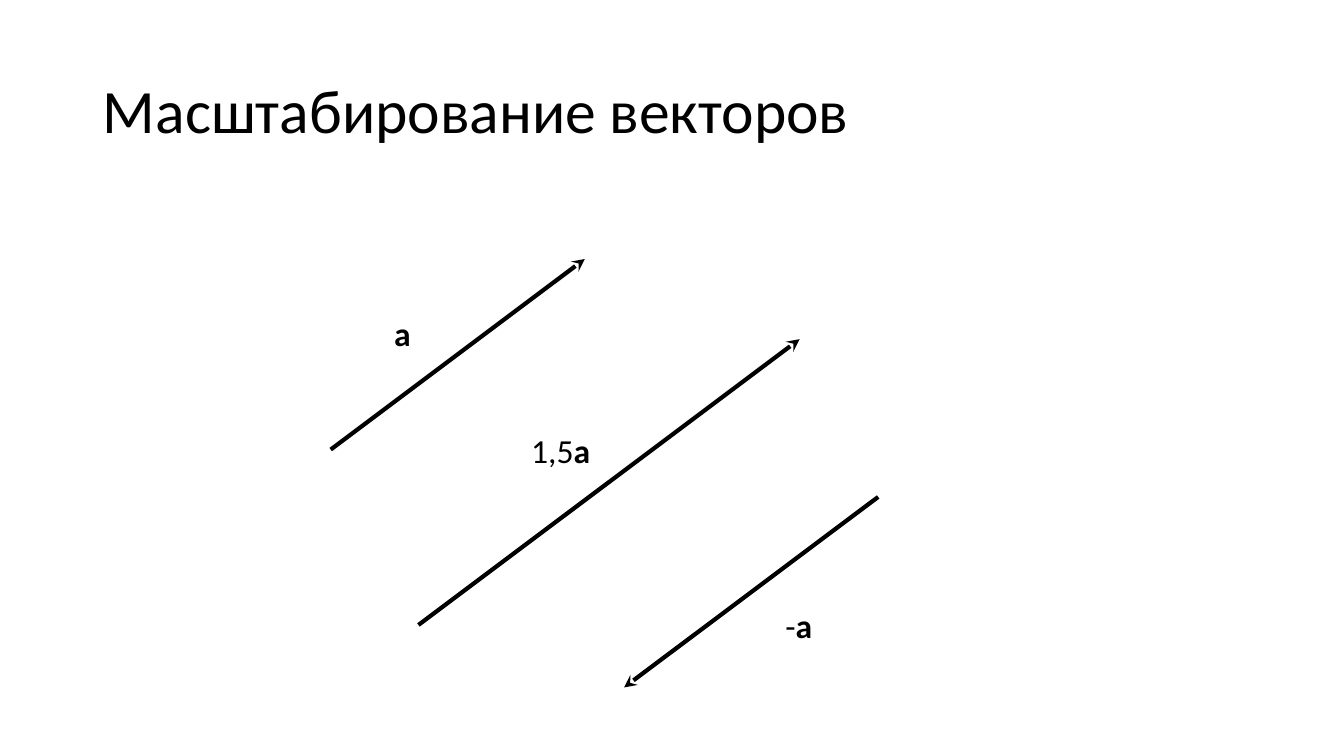
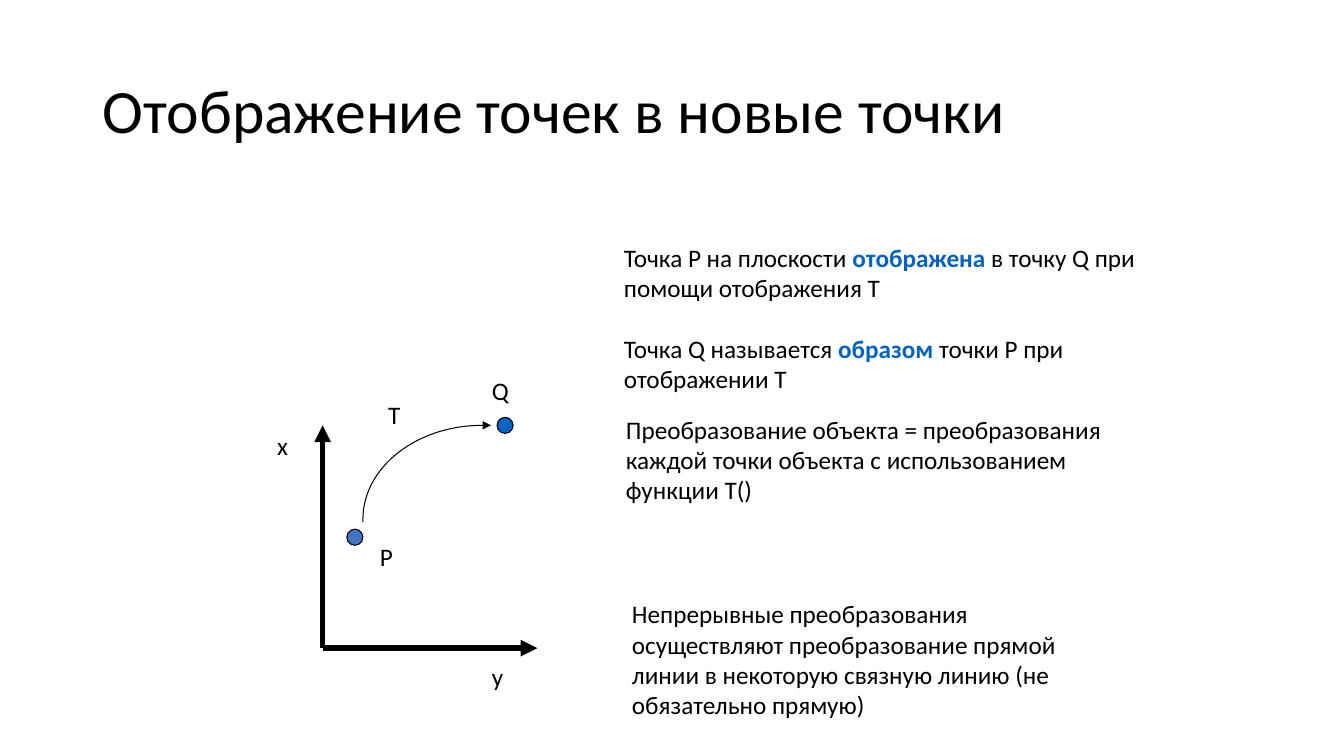
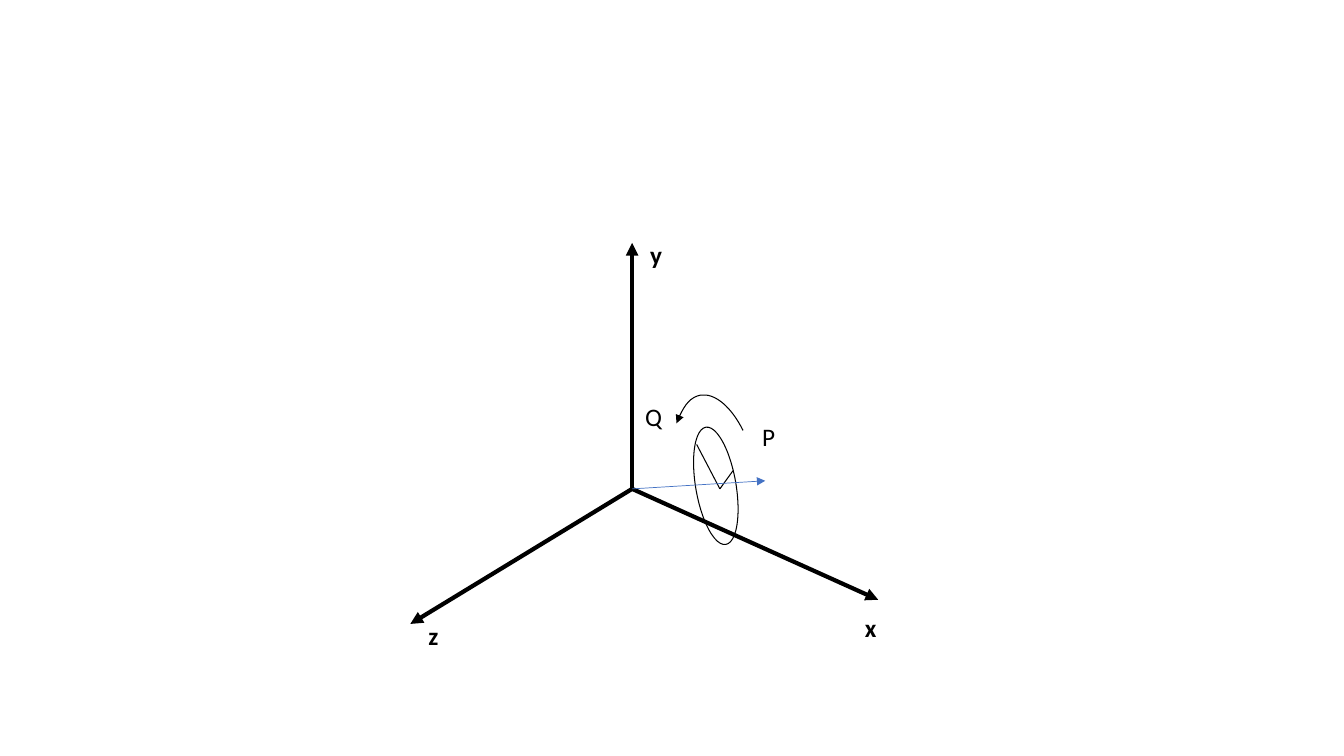
"""Builds three slides about vectors, point mapping and rotation about an axis."""
from lxml import etree
from pptx import Presentation
from pptx.dml.color import RGBColor
from pptx.enum.shapes import MSO_CONNECTOR, MSO_SHAPE
from pptx.enum.text import MSO_ANCHOR, MSO_AUTO_SIZE, PP_ALIGN
from pptx.oxml.ns import qn
from pptx.util import Inches, Pt

STRAIGHT = MSO_CONNECTOR.STRAIGHT
OVAL = MSO_SHAPE.OVAL
MIDDLE = MSO_ANCHOR.MIDDLE
LEFT = PP_ALIGN.LEFT
GROW = MSO_AUTO_SIZE.SHAPE_TO_FIT_TEXT

FONT = "Calibri"
COLORS = {"ink": "000000", "blue": "4472C4", "accent": "0563C1"}
RGB = {name: RGBColor.from_string(value) for name, value in COLORS.items()}


def add_text(shapes, box, paragraphs, size=18, wrap=False, emphasis="ink"):
    """Each paragraph is a tuple of pieces, alternately plain and emphasised."""
    text_box = shapes.add_textbox(*map(Inches, box))
    text_frame = text_box.text_frame
    text_frame.word_wrap = wrap
    text_frame.auto_size = GROW
    for number, pieces in enumerate(paragraphs):
        paragraph = text_frame.add_paragraph() if number else text_frame.paragraphs[0]
        paragraph.space_before = Pt(22 if number else 0)
        for index, piece in enumerate(pieces):
            if piece:
                run = paragraph.add_run()
                run.text = piece
                run.font.name = FONT
                run.font.size = Pt(size)
                run.font.bold = index % 2 == 1
                run.font.color.rgb = RGB[emphasis if index % 2 else "ink"]


def add_stroke(shapes, points, width, arrow=None, color="ink"):
    """Two points give a connector; more are the control points of cubic curves."""
    start, *others = [(Inches(x), Inches(y)) for x, y in points]
    if len(others) == 1:
        stroke = shapes.add_connector(STRAIGHT, *start, *others[0])
    else:
        builder = shapes.build_freeform(*start)
        builder.add_line_segments(others, close=False)
        stroke = builder.convert_to_shape()
        stroke.fill.background()
        path = stroke._element.xpath(".//a:path")[0]
        segments = path.findall(qn("a:lnTo"))
        for first in range(0, len(segments), 3):
            curve = etree.SubElement(path, qn("a:cubicBezTo"))
            for segment in segments[first:first + 3]:
                curve.append(segment[0])
                path.remove(segment)
    stroke.line.color.rgb = RGB[color]
    stroke.line.width = Pt(width)
    properties = stroke._element.xpath("p:spPr")[0]
    if arrow:
        etree.SubElement(properties.find(qn("a:ln")), qn("a:tailEnd"), type=arrow)
    etree.SubElement(properties, qn("a:effectLst"))


presentation = Presentation()
presentation.slide_width = Inches(13.33)
presentation.slide_height = Inches(7.5)
title_only = presentation.slide_layouts[5]
blank = presentation.slide_layouts[6]

scaling = presentation.slides.add_slide(title_only)
mapping = presentation.slides.add_slide(title_only)
rotation = presentation.slides.add_slide(blank)

for slide, heading in ((scaling, "Масштабирование векторов"),
                       (mapping, "Отображение точек в новые точки")):
    title = slide.shapes.title
    title.left, title.top = Inches(0.92), Inches(0.4)
    title.width, title.height = Inches(11.5), Inches(1.45)
    title.text_frame.text = heading
    title.text_frame.vertical_anchor = MIDDLE
    paragraph = title.text_frame.paragraphs[0]
    paragraph.alignment = LEFT
    paragraph.line_spacing = 0.9
    font = paragraph.runs[0].font
    font.name = FONT
    font.size = Pt(44)
    font.color.rgb = RGB["ink"]

vector_x, vector_y = 2.52, -1.89
for x, y, factor in ((3.28, 4.46, 1), (8.71, 4.93, -1), (4.15, 6.2, 1.5)):
    tip = (x + factor * vector_x, y + factor * vector_y)
    add_stroke(scaling.shapes, [(x, y), tip], 3, "stealth")
for x, y, width, prefix in ((3.81, 3.06, 0.4, ""), (7.69, 5.95, 0.52, "-"),
                            (5.17, 4.22, 0.87, "1,5")):
    add_text(scaling.shapes, (x, y, width, 0.5), [(prefix, "a")], size=24)

plane_origin = (3.2, 6.43)
for tip in ((3.2, 4.22), (5.33, 6.43)):
    add_stroke(mapping.shapes, [plane_origin, tip], 4, "triangle")
for x, y, color in ((3.44, 5.25, "blue"), (4.93, 4.14, "accent")):
    point = mapping.shapes.add_shape(OVAL, Inches(x), Inches(y), Inches(0.16), Inches(0.16))
    point.shadow.inherit = False
    point.fill.solid()
    point.fill.fore_color.rgb = RGB[color]
    point.line.color.rgb = RGB["ink"]
    point.line.width = Pt(0.75)
mapping_curve = [(3.6, 5.18), (3.6, 5.17), (3.6, 5.16), (3.6, 5.15), (3.6, 4.64),
                 (4.13, 4.22), (4.78, 4.22), (4.81, 4.22), (4.84, 4.22), (4.87, 4.22)]
add_stroke(mapping.shapes, mapping_curve, 0.75, "triangle")
for x, y, width, label in ((2.65, 4.22, 0.32, "x"), (4.78, 6.51, 0.33, "y"),
                           (3.67, 5.32, 0.34, "P"), (4.78, 3.67, 0.38, "Q"),
                           (3.75, 3.91, 0.35, "T")):
    add_text(mapping.shapes, (x, y, width, 0.4), [(label,)])

explanations = (
    ((6.09, 2.35, 5.33, 1.6),
     [("Точка P на плоскости ", "отображена", " в точку Q при помощи отображения T"),
      ("Точка Q называется ", "образом", " точки P при отображении T")]),
    ((6.11, 4.06, 5.24, 1.01),
     [("Преобразование объекта = преобразования каждой точки объекта "
       "с использованием функции T()",)]),
    ((6.17, 5.89, 4.67, 1.3),
     [("Непрерывные преобразования осуществляют преобразование прямой линии "
       "в некоторую связную линию (не обязательно прямую)",)]),
)
for box, paragraphs in explanations:
    add_text(mapping.shapes, box, paragraphs, wrap=True, emphasis="accent")

space_origin = (6.27, 4.85)
for tip in ((6.27, 2.41), (4.07, 6.19), (8.71, 5.95)):
    add_stroke(rotation.shapes, [space_origin, tip], 3, "triangle")
for x, y, width, label in ((4.15, 6.11, 0.33, "z"), (8.48, 6.03, 0.35, "x"),
                           (6.35, 2.33, 0.35, "y")):
    add_text(rotation.shapes, (x, y, width, 0.4), [("", label)])

turn = rotation.shapes.add_group_shape().shapes
orbit = turn.add_shape(OVAL, Inches(6.9), Inches(4.23), Inches(0.4), Inches(1.18))
orbit.rotation = 350.3
orbit.shadow.inherit = False
orbit.fill.background()
orbit.line.color.rgb = RGB["ink"]
orbit.line.width = Pt(0.75)
turn_curve = [(7.37, 4.27), (7.25, 4.03), (7.09, 3.9), (6.95, 3.92),
              (6.85, 3.94), (6.77, 4.04), (6.71, 4.2)]
add_stroke(turn, turn_curve, 0.75, "triangle")
for radius_end in ((7.27, 4.67), (6.91, 4.41)):
    add_stroke(turn, [(7.14, 4.85), radius_end], 0.75)
for x, y, width, label in ((7.46, 4.13, 0.34, "P"), (6.3, 3.93, 0.38, "Q")):
    add_text(turn, (x, y, width, 0.4), [(label,)])
add_stroke(rotation.shapes, [space_origin, (7.59, 4.77)], 0.5, "triangle", "blue")

presentation.save("out.pptx")
